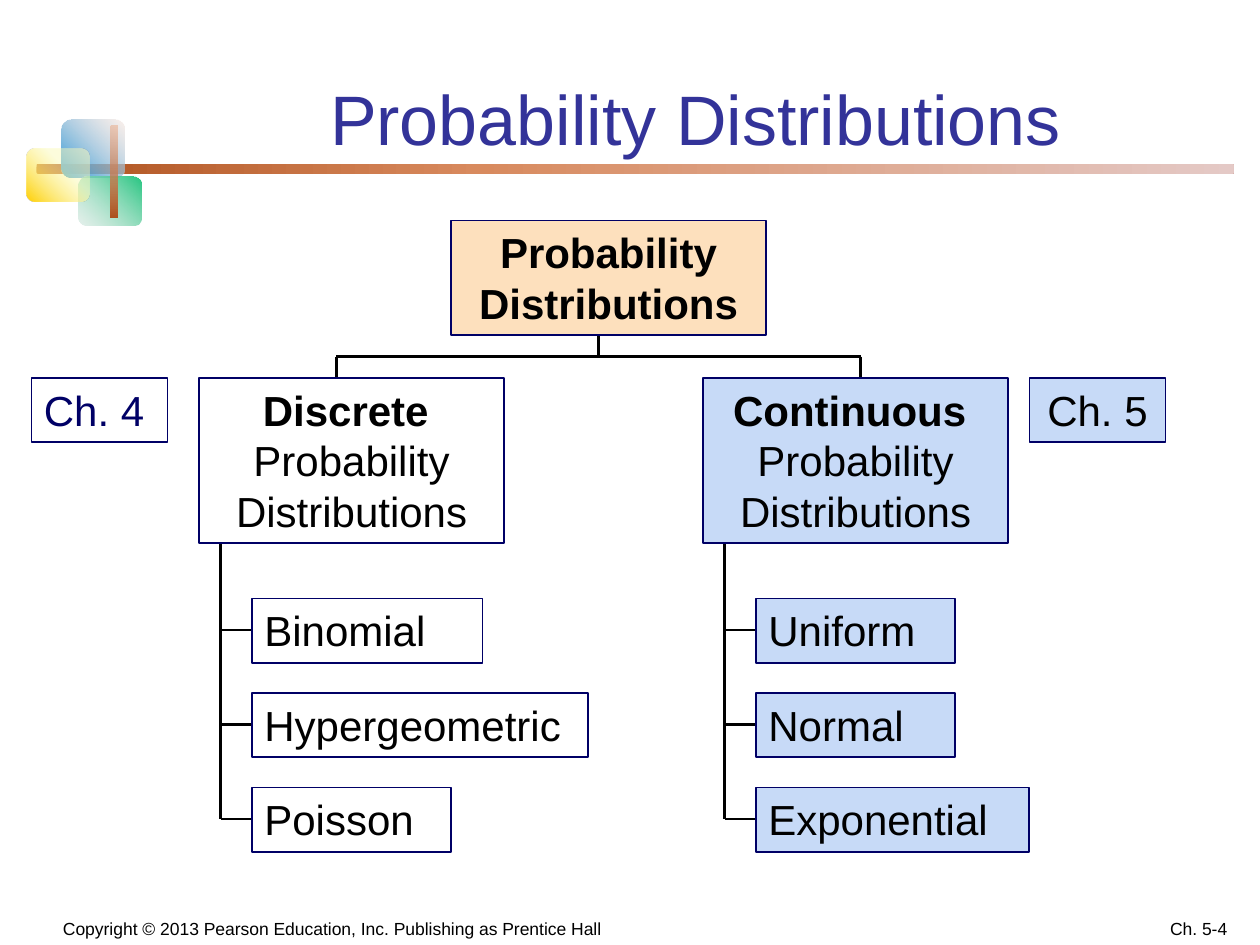
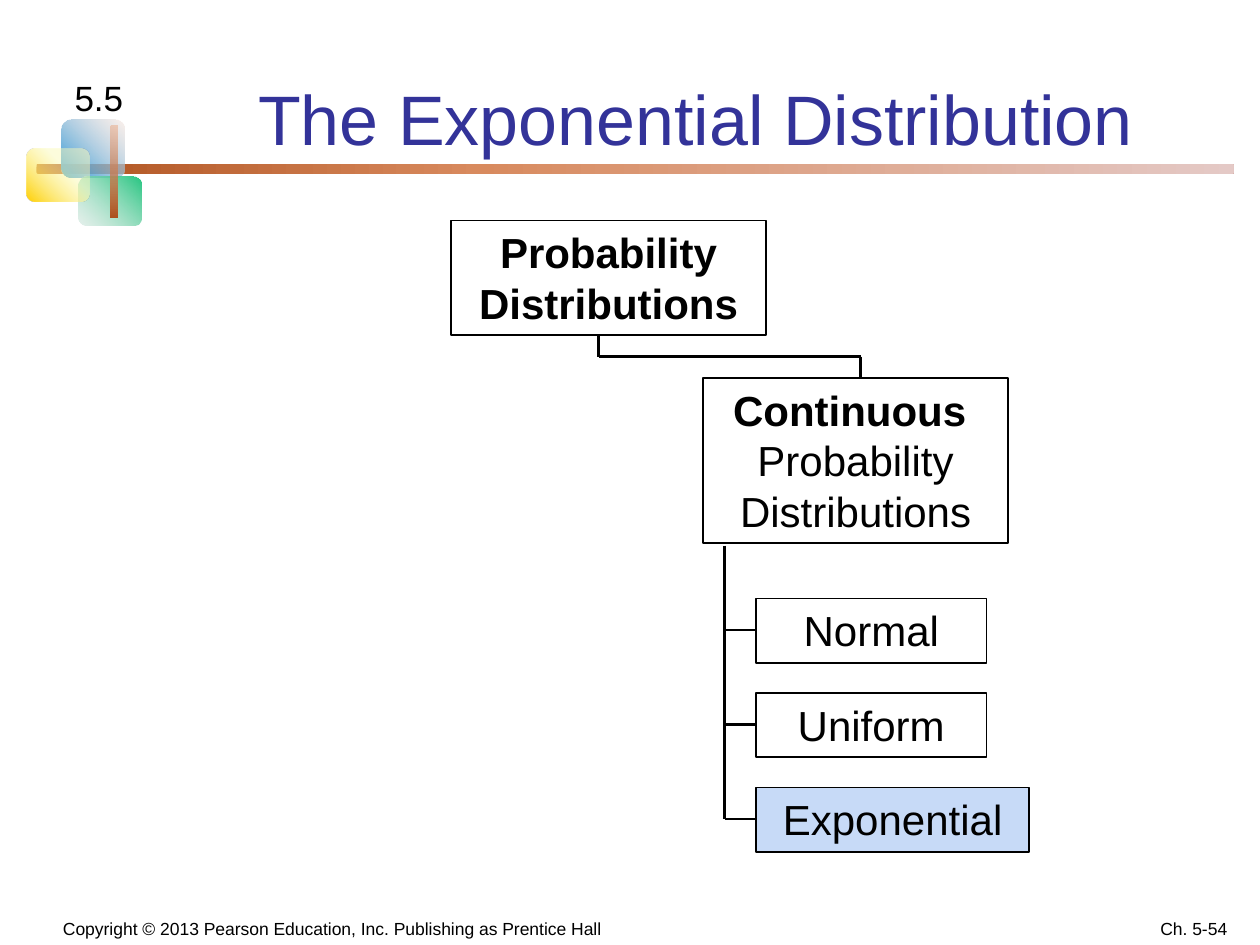
from dataclasses import dataclass

from lxml import etree
from pptx import Presentation
from pptx.dml.color import RGBColor
from pptx.enum.shapes import MSO_CONNECTOR, MSO_SHAPE
from pptx.enum.text import MSO_ANCHOR, PP_ALIGN
from pptx.oxml.ns import qn
from pptx.util import Inches, Pt

LEFT, CENTER, RIGHT = PP_ALIGN.LEFT, PP_ALIGN.CENTER, PP_ALIGN.RIGHT
TOP, BOTTOM = MSO_ANCHOR.TOP, MSO_ANCHOR.BOTTOM
RECT, ROUNDED = MSO_SHAPE.RECTANGLE, MSO_SHAPE.ROUNDED_RECTANGLE
STRAIGHT = MSO_CONNECTOR.STRAIGHT


@dataclass(frozen=True)
class Theme:
    font: str = "Arial"
    title: str = "333399"
    ink: str = "000000"
    navy: str = "000066"
    white: str = "FFFFFF"
    peach: str = "FDE0BD"
    sky: str = "C7DAF7"
    title_size: int = 40
    node_size: int = 24
    section_size: int = 20
    footer_size: int = 10
    border_width: float = 1
    link_width: float = 1.5


THEME = Theme()

# Header ornament: box, gradient stops (position, colour, opacity), clockwise angle
ORNAMENT = [
    ((0.29, 1.3, 9.5, 0.08),
     [(0, "AE511E", 100), (37, "D88A5E", 100), (100, "E4C9C6", 100)], 0),
    ((0.49, 0.95, 0.5, 0.46), [(0, "2895D8", 100), (100, "F7E2D9", 50)], 315),
    ((0.62, 1.4, 0.5, 0.39), [(0, "25C580", 100), (100, "CCE2D9", 50)], 135),
    ((0.21, 1.18, 0.5, 0.42), [(0, "FFCF01", 100), (63, "FCFCBC", 50)], 315),
    ((0.88, 1, 0.05, 0.73), [(0, "AE511E", 100), (100, "EAA782", 50)], 270),
]
COPYRIGHT = "Copyright © 2013 Pearson Education, Inc. Publishing as Prentice Hall"

# Tree geometry
ROOT_BOX = (3.58, 1.75, 2.5, 0.91)
ROOT_X, ROOT_BOTTOM, CROSSBAR_Y = 4.75, 2.67, 2.83
FAMILY_TOP, FAMILY_WIDTH, FAMILY_HEIGHT = 3, 2.42, 1.31
LEAF_TOP, LEAF_STEP, LEAF_HEIGHT = 4.75, 0.75, 0.51
DISCRETE_TRUNK, CONTINUOUS_TRUNK = 1.75, 5.75
DISCRETE_DROP, CONTINUOUS_DROP = 2.67, 6.83


def inches(box):
    return [Inches(value) for value in box]


def write(shape, paragraphs, size, color, align, anchor=TOP, side=0.1):
    """Fill a shape with (text, bold) paragraphs."""
    frame = shape.text_frame
    frame.word_wrap = True
    frame.vertical_anchor = anchor
    frame.margin_left = frame.margin_right = Inches(side)
    frame.margin_top = frame.margin_bottom = Inches(0.05)
    for index, (text, bold) in enumerate(paragraphs):
        paragraph = frame.add_paragraph() if index else frame.paragraphs[0]
        paragraph.alignment = align
        run = paragraph.add_run()
        run.text = text
        run.font.name = THEME.font
        run.font.size = Pt(size)
        run.font.bold = bold
        run.font.color.rgb = RGBColor.from_string(color)


def label(slide, box, text, size, color, align, anchor=TOP, side=0.1):
    textbox = slide.shapes.add_textbox(*inches(box))
    write(textbox, [(text, False)], size, color, align, anchor, side)
    return textbox


def node(slide, box, paragraphs, fill, border, align=CENTER, color=THEME.ink):
    shape = slide.shapes.add_shape(RECT, *inches(box))
    shape.shadow.inherit = False
    if fill:
        shape.fill.solid()
        shape.fill.fore_color.rgb = RGBColor.from_string(fill)
    else:
        shape.fill.background()
    shape.line.color.rgb = RGBColor.from_string(border)
    shape.line.width = Pt(THEME.border_width)
    write(shape, paragraphs, THEME.node_size, color, align)


def link(slide, *ends):
    connector = slide.shapes.add_connector(STRAIGHT, *inches(ends))
    connector.line.color.rgb = RGBColor.from_string(THEME.ink)
    connector.line.width = Pt(THEME.link_width)
    etree.SubElement(connector._element.spPr, qn("a:effectLst"))


def gradient_block(slide, box, stops, angle):
    shape = slide.shapes.add_shape(ROUNDED, *inches(box))
    shape.shadow.inherit = False
    shape.line.fill.background()
    gradient = etree.Element(qn("a:gradFill"), rotWithShape="1")
    stop_list = etree.SubElement(gradient, qn("a:gsLst"))
    for position, color, opacity in stops:
        stop = etree.SubElement(stop_list, qn("a:gs"), pos=str(position * 1000))
        rgb = etree.SubElement(stop, qn("a:srgbClr"), val=color)
        if opacity < 100:
            etree.SubElement(rgb, qn("a:alpha"), val=str(opacity * 1000))
    etree.SubElement(gradient, qn("a:lin"), ang=str(angle * 60000), scaled="0")
    shape._element.spPr.find(qn("a:prstGeom")).addnext(gradient)


def start_slide(prs, title, page):
    """Add a slide with the shared ornament, title and footers."""
    slide = prs.slides.add_slide(prs.slide_layouts[6])
    for box, stops, angle in ORNAMENT:
        gradient_block(slide, box, stops, angle)
    label(slide, (1.67, 0.55, 7.7, 0.76), title,
          THEME.title_size, THEME.title, CENTER)
    footer = label(slide, (0, 7.15, 5, 0.35), COPYRIGHT,
                   THEME.footer_size, THEME.ink, CENTER, BOTTOM, 0.09)
    footer.text_frame.margin_left = Inches(0.36)
    label(slide, (7.5, 7.15, 2.33, 0.35), page,
          THEME.footer_size, THEME.ink, RIGHT, BOTTOM, 0.09)
    return slide


def root(slide, drops, fill, border):
    """Top box with a crossbar reaching every family below it."""
    link(slide, ROOT_X, ROOT_BOTTOM, ROOT_X, CROSSBAR_Y)
    reach = [ROOT_X, *drops]
    link(slide, min(reach), CROSSBAR_Y, max(reach), CROSSBAR_Y)
    node(slide, ROOT_BOX, [("Probability Distributions", True)], fill, border)


def family(slide, name, trunk, drop, leaves, fill, border, align, tucked):
    """Family box with its leaves; tucked links run on beneath the boxes."""
    overlap = 0.08 if tucked else 0
    leaf_left = trunk + 0.25
    last_center = LEAF_TOP + 0.25 + LEAF_STEP * (len(leaves) - 1)
    link(slide, drop, CROSSBAR_Y, drop, FAMILY_TOP + overlap)
    link(slide, trunk, 4.17 if tucked else 4.33, trunk, last_center)
    node(slide, (trunk - 0.17, FAMILY_TOP, FAMILY_WIDTH, FAMILY_HEIGHT),
         [(name + " ", True), ("Probability Distributions", False)], fill, border)
    for index, (leaf, width, leaf_fill) in enumerate(leaves):
        top = LEAF_TOP + LEAF_STEP * index
        link(slide, leaf_left + overlap, top + 0.25, trunk, top + 0.25)
        node(slide, (leaf_left, top, width, LEAF_HEIGHT),
             [(leaf, False)], leaf_fill, border, align)


def overview_slide(prs):
    slide = start_slide(prs, "Probability Distributions", "Ch. 5-4")
    white, sky, navy = THEME.white, THEME.sky, THEME.navy
    root(slide, [DISCRETE_DROP, CONTINUOUS_DROP], THEME.peach, navy)
    discrete = [("Binomial", 1.83, white), ("Hypergeometric", 2.67, white),
                ("Poisson", 1.58, white)]
    continuous = [("Uniform", 1.58, sky), ("Normal", 1.58, sky),
                  ("Exponential", 2.17, sky)]
    family(slide, "Discrete", DISCRETE_TRUNK, DISCRETE_DROP, discrete,
           white, navy, LEFT, tucked=True)
    family(slide, "Continuous", CONTINUOUS_TRUNK, CONTINUOUS_DROP, continuous,
           sky, navy, LEFT, tucked=True)
    # Chapter tags
    node(slide, (0.25, FAMILY_TOP, 1.08, LEAF_HEIGHT), [("Ch. 4", False)],
         None, navy, LEFT, navy)
    node(slide, (8.17, FAMILY_TOP, 1.08, LEAF_HEIGHT), [("Ch. 5", False)],
         sky, navy)


def exponential_slide(prs):
    slide = start_slide(prs, "The Exponential Distribution", "Ch. 5-54")
    root(slide, [CONTINUOUS_DROP], None, THEME.ink)
    continuous = [("Normal", 1.83, None), ("Uniform", 1.83, None),
                  ("Exponential", 2.17, THEME.sky)]
    family(slide, "Continuous", CONTINUOUS_TRUNK, CONTINUOUS_DROP, continuous,
           None, THEME.ink, CENTER, tucked=False)
    # Section number
    label(slide, (0.37, 0.56, 0.83, 0.44), "5.5",
          THEME.section_size, THEME.ink, CENTER)


def main():
    prs = Presentation()
    prs.slide_width, prs.slide_height = Inches(10), Inches(7.5)
    overview_slide(prs)
    exponential_slide(prs)
    prs.save("out.pptx")


if __name__ == "__main__":
    main()
